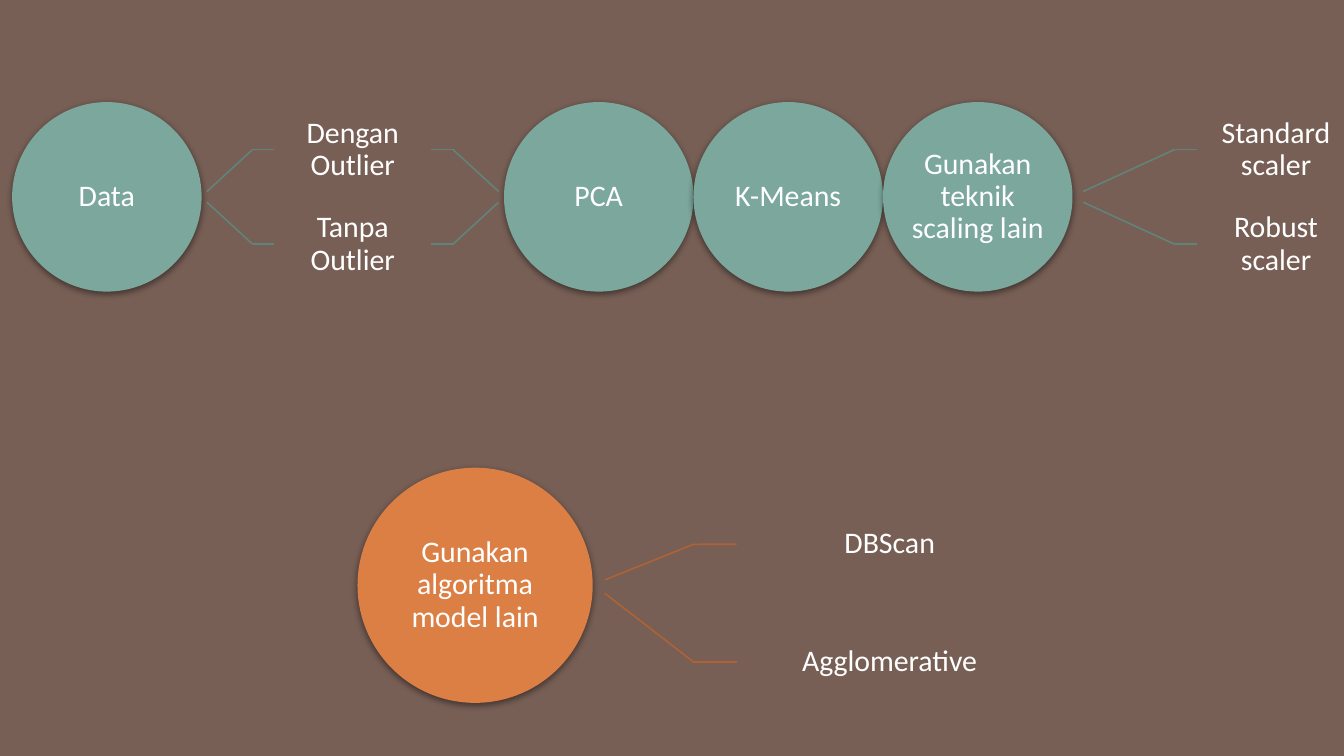
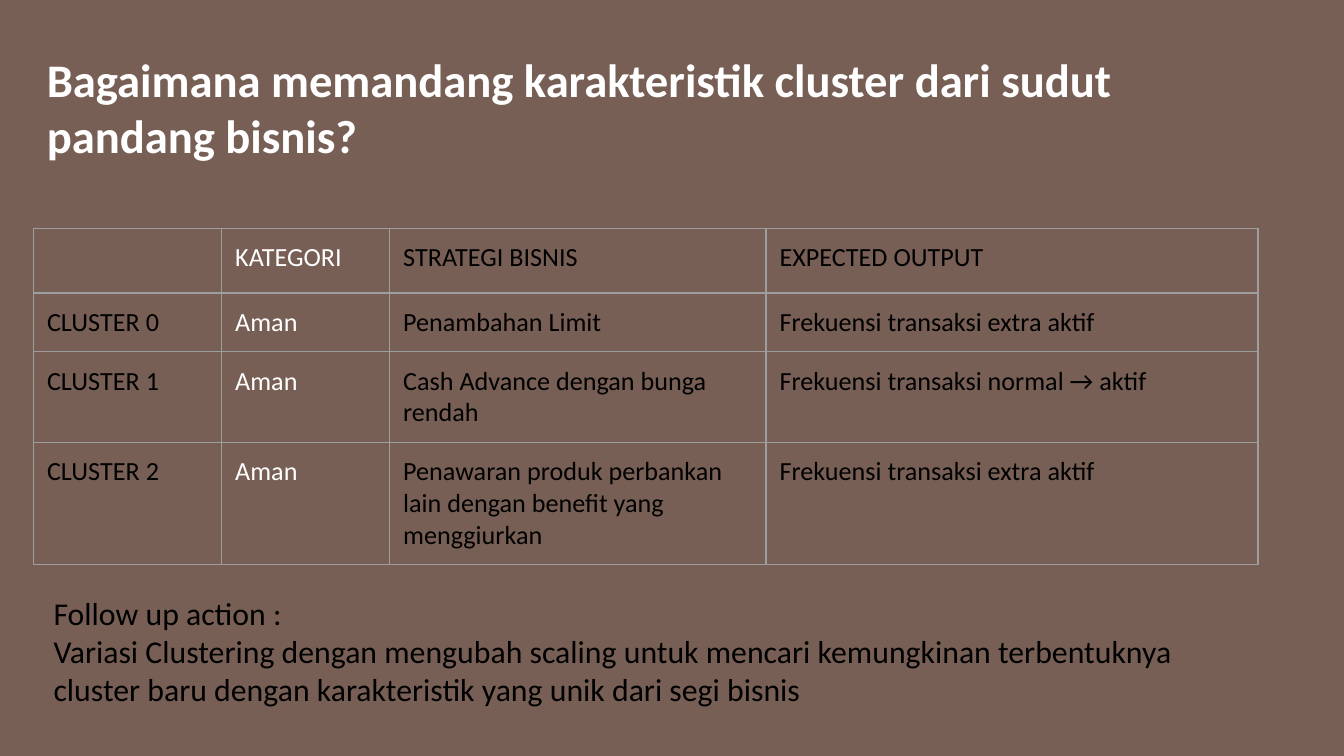
from lxml.etree import SubElement
from pptx import Presentation
from pptx.dml.color import RGBColor
from pptx.enum.shapes import MSO_CONNECTOR, MSO_SHAPE
from pptx.enum.text import MSO_ANCHOR, MSO_AUTO_SIZE, PP_ALIGN
from pptx.oxml import parse_xml
from pptx.oxml.ns import nsdecls, qn
from pptx.util import Inches, Pt

COLORS = {
    "background": "775F55",
    "teal": "7BA79D",
    "teal_line": "60847A",
    "orange": "DC7F45",
    "orange_line": "AF6235",
    "border": "9E9E9E",
    "light": "FFFFFF",
    "dark": "000000",
}
FONT = "Calibri"
SLIDE_WIDTH = 10
SLIDE_HEIGHT = SLIDE_WIDTH * 9 / 16
LEFT_SIDE, RIGHT_SIDE = 1, 3

CLUSTER_ROWS = [
    ["", "KATEGORI", "STRATEGI BISNIS", "EXPECTED OUTPUT"],
    ["CLUSTER 0", "Aman", "Penambahan Limit", "Frekuensi transaksi extra aktif"],
    ["CLUSTER 1", "Aman", "Cash Advance dengan bunga rendah",
     "Frekuensi transaksi normal → aktif"],
    ["CLUSTER 2", "Aman", "Penawaran produk perbankan lain dengan benefit yang menggiurkan",
     "Frekuensi transaksi extra aktif"],
]
COLUMN_WIDTHS = [1.4, 1.25, 2.8, 3.66]
ROW_HEIGHTS = [0.48, 0.43, 0.67, 0.91]
CATEGORY_COLUMN = 1


def rgb(name):
    return RGBColor.from_string(COLORS[name])


def add_slide(presentation):
    slide = presentation.slides.add_slide(presentation.slide_layouts[6])
    slide.background.fill.solid()
    slide.background.fill.fore_color.rgb = rgb("background")
    return slide


def style_paragraph(paragraph, size, color, bold=False):
    paragraph.font.name = FONT
    paragraph.font.size = Pt(size)
    paragraph.font.bold = bold
    paragraph.font.color.rgb = rgb(color)


def set_margins(target, margin):
    """Give a text frame or a table cell the same margin on all sides."""
    for side in ("left", "top", "right", "bottom"):
        setattr(target, f"margin_{side}", Inches(margin))


def fill_diagram_text(shape, text, margin):
    frame = shape.text_frame
    frame.word_wrap = True
    frame.vertical_anchor = MSO_ANCHOR.MIDDLE
    set_margins(frame, margin)
    paragraph = frame.paragraphs[0]
    paragraph.text = text
    paragraph.alignment = PP_ALIGN.CENTER
    paragraph.line_spacing = 0.9
    style_paragraph(paragraph, 16, "light")


def add_circle(slide, left, top, diameter, text, color):
    circle = slide.shapes.add_shape(
        MSO_SHAPE.OVAL, Inches(left), Inches(top), Inches(diameter), Inches(diameter))
    circle.fill.solid()
    circle.fill.fore_color.rgb = rgb(color)
    circle.line.fill.background()
    circle._element.spPr.append(parse_xml(
        f'<a:effectLst {nsdecls("a")}><a:outerShdw blurRad="{Pt(3.5)}" dist="{Pt(1.1)}" '
        f'dir="5400000" rotWithShape="0"><a:srgbClr val="{COLORS["dark"]}">'
        '<a:alpha val="44000"/></a:srgbClr></a:outerShdw></a:effectLst>'))
    fill_diagram_text(circle, text, 0)


def add_line(slide, start, end, color):
    line = slide.shapes.add_connector(
        MSO_CONNECTOR.STRAIGHT, *(Inches(value) for value in (*start, *end)))
    line.line.color.rgb = rgb(color)
    line.line.width = Pt(0.85)
    SubElement(line._element.spPr, qn("a:effectLst"))
    return line


def add_labels(slide, left, top, width, items):
    """Stack (text, height) labels; return each with its vertical middle."""
    labels = []
    for text, height in items:
        label = slide.shapes.add_textbox(
            Inches(left), Inches(top), Inches(width), Inches(height))
        fill_diagram_text(label, text, 0.12)
        labels.append((label, top + height / 2))
        top += height
    return labels


def add_fork(slide, tip_x, bend_x, label_x, middle, gap, labels, side, color):
    """Join a circle at tip_x to one side of an upper and a lower label."""
    for (label, label_y), offset in zip(labels, (-gap, gap)):
        add_line(slide, (tip_x, middle + offset), (bend_x, label_y), color)
        stub = add_line(slide, (bend_x, label_y), (label_x, label_y), color)
        stub.end_connect(label, side)


def add_scaling_flow(slide, left, top, diameter):
    middle = top + diameter / 2
    label_width, label_height = 1.17, diameter / 2
    outlier_x, scaler_x, chain_x = left + 1.95, left + 8.82, left + 3.66

    add_circle(slide, left, top, diameter, "Data", "teal")
    outliers = add_labels(slide, outlier_x, top, label_width,
                          [("Dengan Outlier", label_height), ("Tanpa Outlier", label_height)])
    outlier_right = outlier_x + label_width
    add_fork(slide, outlier_x - 0.5, outlier_x - 0.16, outlier_x,
             middle, 0.04, outliers, LEFT_SIDE, "teal_line")
    add_fork(slide, outlier_right + 0.5, outlier_right + 0.16, outlier_right,
             middle, 0.04, outliers, RIGHT_SIDE, "teal_line")

    for index, text in enumerate(["PCA", "K-Means", "Gunakan teknik scaling lain"]):
        add_circle(slide, chain_x + index * diameter, top, diameter, text, "teal")
    scalers = add_labels(slide, scaler_x, top, label_width,
                         [("Standard scaler", label_height), ("Robust scaler", label_height)])
    add_fork(slide, scaler_x - 0.85, scaler_x - 0.17, scaler_x,
             middle, 0.04, scalers, LEFT_SIDE, "teal_line")


def add_algorithm_flow(slide, left, top, diameter):
    label_x = left + 2.82
    add_circle(slide, left, top, diameter, "Gunakan algoritma model lain", "orange")
    algorithms = add_labels(slide, label_x, top, 2.28,
                            [("DBScan", 1.14), ("Agglomerative", 0.61)])
    add_fork(slide, label_x - 0.98, label_x - 0.32, label_x,
             top + diameter / 2 + 0.01, 0.05, algorithms, LEFT_SIDE, "orange_line")


def add_text_block(slide, left, top, width, height, lines, size, color, bold=False):
    box = slide.shapes.add_textbox(Inches(left), Inches(top), Inches(width), Inches(height))
    frame = box.text_frame
    frame.word_wrap = True
    frame.auto_size = MSO_AUTO_SIZE.SHAPE_TO_FIT_TEXT
    set_margins(frame, 0.1)
    frame.text = "\n".join(lines)
    for paragraph in frame.paragraphs:
        style_paragraph(paragraph, size, color, bold)


def add_cell_borders(cell):
    properties = cell._tc.get_or_add_tcPr()
    for index, side in enumerate(("lnL", "lnR", "lnT", "lnB")):
        properties.insert(index, parse_xml(
            f'<a:{side} {nsdecls("a")} w="{Pt(0.75)}"><a:solidFill>'
            f'<a:srgbClr val="{COLORS["border"]}"/></a:solidFill></a:{side}>'))


def add_cluster_table(slide, left, top):
    table = slide.shapes.add_table(
        len(ROW_HEIGHTS), len(COLUMN_WIDTHS), Inches(left), Inches(top),
        Inches(sum(COLUMN_WIDTHS)), Inches(sum(ROW_HEIGHTS))).table
    table.first_row = table.horz_banding = False
    for column, width in zip(table.columns, COLUMN_WIDTHS):
        column.width = Inches(width)
    for row, height, texts in zip(table.rows, ROW_HEIGHTS, CLUSTER_ROWS):
        row.height = Inches(height)
        for index, (cell, text) in enumerate(zip(row.cells, texts)):
            cell.text = text
            set_margins(cell, 0.1)
            cell.fill.background()
            add_cell_borders(cell)
            style_paragraph(cell.text_frame.paragraphs[0], 14,
                            "light" if index == CATEGORY_COLUMN else "dark")


def add_flow_slide(presentation):
    slide = add_slide(presentation)
    add_scaling_flow(slide, 0.09, 0.76, 1.41)
    add_algorithm_flow(slide, 2.66, 3.48, 1.75)


def add_business_slide(presentation):
    slide = add_slide(presentation)
    add_cluster_table(slide, 0.25, 1.7)
    add_text_block(
        slide, 0.25, 0.28, 8.92, 1.04,
        ["Bagaimana memandang karakteristik cluster dari sudut pandang bisnis?"],
        25, "light", bold=True)
    add_text_block(
        slide, 0.3, 4.32, 8.92, 1.06,
        ["Follow up action :",
         "Variasi Clustering dengan mengubah scaling untuk mencari kemungkinan terbentuknya "
         "cluster baru dengan karakteristik yang unik dari segi bisnis"],
        17, "dark")


def main():
    presentation = Presentation()
    presentation.slide_width = Inches(SLIDE_WIDTH)
    presentation.slide_height = Inches(SLIDE_HEIGHT)
    add_flow_slide(presentation)
    add_business_slide(presentation)
    presentation.save("out.pptx")


if __name__ == "__main__":
    main()
